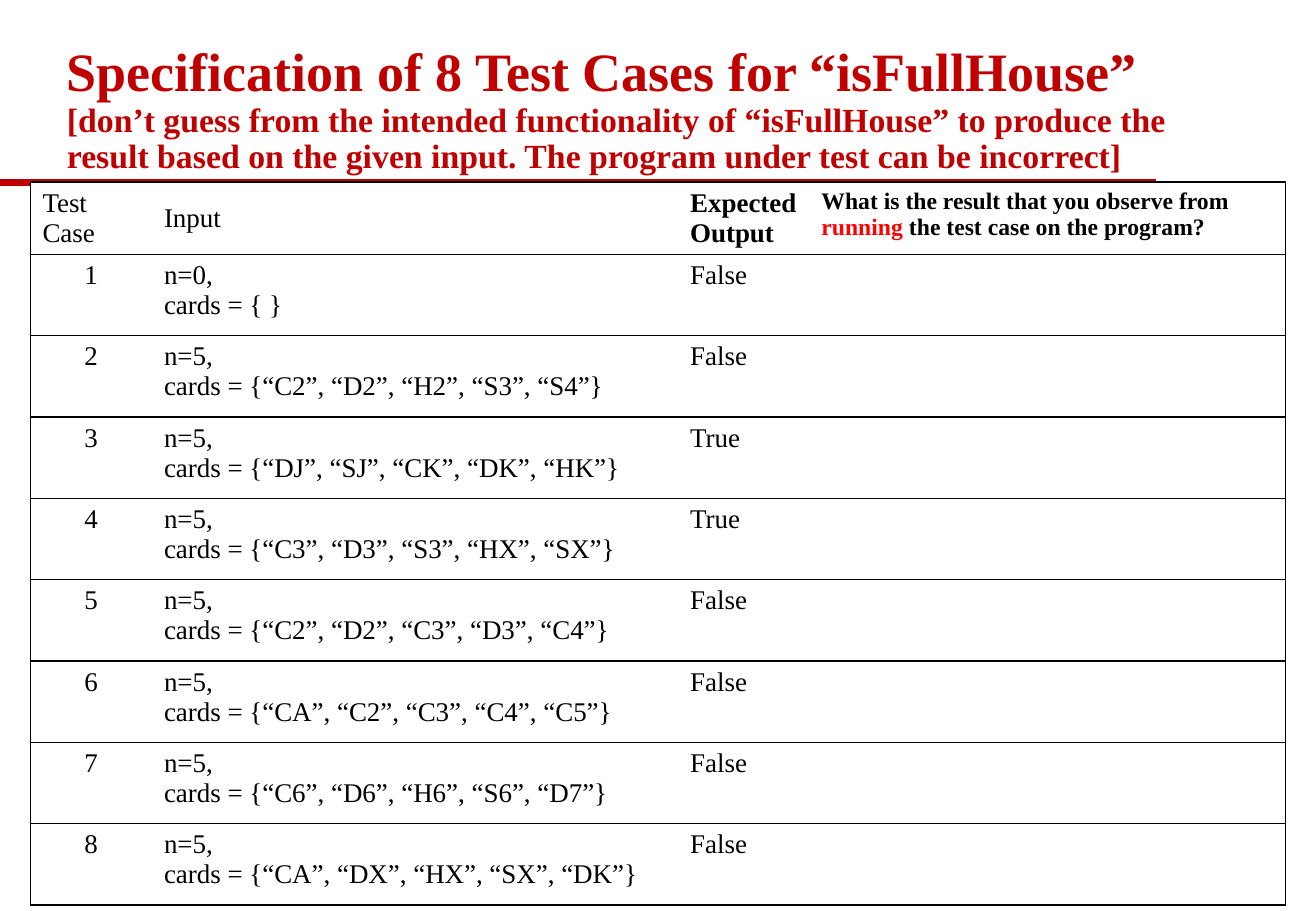
from copy import deepcopy
from dataclasses import dataclass

from lxml.etree import SubElement
from pptx import Presentation
from pptx.dml.color import RGBColor
from pptx.enum.shapes import MSO_CONNECTOR
from pptx.enum.text import MSO_ANCHOR, MSO_AUTO_SIZE, PP_ALIGN
from pptx.oxml.ns import qn
from pptx.util import Inches, Pt


@dataclass(frozen=True)
class Theme:
    """Colours, type sizes and line widths of the slide."""
    font: str = "Times New Roman"
    accent: str = "C00000"
    ink: str = "000000"
    alert: str = "FF0000"
    paper: str = "FFFFFF"
    title: int = 32
    subtitle: int = 20
    body: int = 16
    question: int = 14
    rule: int = 4
    border: int = 1


THEME = Theme()
WIDTH, HEIGHT = 10.83, 7.5
RULE_TOP = 1.5
TABLE_LEFT = 0.25
COLUMNS = (1, 4.33, 1.08, 3.92)
HEADER_HEIGHT, CASE_HEIGHT = 0.59, 0.67

TITLE = "Specification of 8 Test Cases for “isFullHouse”"
SUBTITLE = ("[don’t guess from the intended functionality of “isFullHouse” to produce the "
            "result based on the given input. The program under test can be incorrect]")
HEADERS = ("Test Case", "Input", "Expected Output")
QUESTION = (("What is the result that you observe from ", THEME.ink),
            ("running", THEME.alert),
            (" the test case on the program?", THEME.ink))
CASES = (
    (0, " ", "False"),
    (5, "“C2”, “D2”, “H2”, “S3”, “S4”", "False"),
    (5, "“DJ”, “SJ”, “CK”, “DK”, “HK”", "True"),
    (5, "“C3”, “D3”, “S3”, “HX”, “SX”", "True"),
    (5, "“C2”, “D2”, “C3”, “D3”, “C4”", "False"),
    (5, "“CA”, “C2”, “C3”, “C4”, “C5”", "False"),
    (5, "“C6”, “D6”, “H6”, “S6”, “D7”", "False"),
    (5, "“CA”, “DX”, “HX”, “SX”, “DK”", "False"),
)


def style_span(span, size, color=THEME.ink, bold=False):
    """Give one run its font, size, colour and weight."""
    span.font.name = THEME.font
    span.font.size = Pt(size)
    span.font.bold = bold
    span.font.color.rgb = RGBColor.from_string(color)


def add_rule(page):
    """Draw the red rule under the title."""
    rule = page.shapes.add_connector(MSO_CONNECTOR.STRAIGHT, 0, Inches(RULE_TOP),
                                     Inches(9.51), Inches(RULE_TOP))
    rule.line.color.rgb = RGBColor.from_string(THEME.accent)
    rule.line.width = Pt(THEME.rule)
    SubElement(rule._element.spPr, qn("a:effectLst"))


def fill_title(page):
    """Place the title and its smaller second part."""
    box = page.shapes.title
    box.left, box.top, box.width, box.height = map(Inches, (0.45, 0.29, 9.88, 1.21))
    frame = box.text_frame
    frame.text = f"{TITLE}\v{SUBTITLE}"
    frame.auto_size = MSO_AUTO_SIZE.NONE
    frame.word_wrap = True
    frame.vertical_anchor = MSO_ANCHOR.BOTTOM
    para = frame.paragraphs[0]
    para.alignment = PP_ALIGN.LEFT
    para.line_spacing = 0.9
    para.space_before = Pt(0)
    for span, size in zip(para.runs, (THEME.title, THEME.subtitle)):
        style_span(span, size, THEME.accent, bold=True)
    line_break = para._p.find(qn("a:br"))
    line_break.insert(0, deepcopy(para.runs[0]._r.rPr))


def set_border(cell, side, visible):
    """Draw or hide one side of a cell."""
    line = SubElement(cell._tc.get_or_add_tcPr(), qn(f"a:ln{side}"), w=str(Pt(THEME.border)))
    if visible:
        fill = SubElement(line, qn("a:solidFill"))
        SubElement(fill, qn("a:srgbClr"), val=THEME.ink)
    else:
        SubElement(line, qn("a:noFill"))


def write_cell(cell, text, bold=False, align=PP_ALIGN.LEFT):
    """Write plain text into a cell."""
    cell.text_frame.text = text
    for para in cell.text_frame.paragraphs:
        para.alignment = align
        for span in para.runs:
            style_span(span, THEME.body, bold=bold)


def write_question(cell):
    """Write the question with its highlighted word."""
    para = cell.text_frame.paragraphs[0]
    for text, color in QUESTION:
        span = para.add_run()
        span.text = text
        style_span(span, THEME.question, color, bold=True)


def add_case_table(page):
    """Add the bordered table of test cases."""
    heights = [HEADER_HEIGHT] + [CASE_HEIGHT] * len(CASES)
    table = page.shapes.add_table(len(heights), len(COLUMNS), Inches(TABLE_LEFT),
                                  Inches(RULE_TOP), Inches(sum(COLUMNS)),
                                  Inches(sum(heights))).table
    table.first_row = table.horz_banding = False
    for column, width in zip(table.columns, COLUMNS):
        column.width = Inches(width)
    for row, height in zip(table.rows, heights):
        row.height = Inches(height)
        for index, cell in enumerate(row.cells):
            set_border(cell, "L", index == 0)
            set_border(cell, "R", index == len(COLUMNS) - 1)
            set_border(cell, "T", True)
            set_border(cell, "B", True)
            cell.fill.solid()
            cell.fill.fore_color.rgb = RGBColor.from_string(THEME.paper)
    for index, text in enumerate(HEADERS):
        write_cell(table.cell(0, index), text, bold=index == 2)
    for index in (0, 1):
        table.cell(0, index).vertical_anchor = MSO_ANCHOR.MIDDLE
    write_question(table.cell(0, 3))
    for number, (count, cards, expected) in enumerate(CASES, 1):
        write_cell(table.cell(number, 0), str(number), align=PP_ALIGN.CENTER)
        write_cell(table.cell(number, 1), f"n={count},\ncards = {{{cards}}}")
        write_cell(table.cell(number, 2), expected)


def main():
    """Build the slide and save it."""
    deck = Presentation()
    deck.slide_width, deck.slide_height = Inches(WIDTH), Inches(HEIGHT)
    page = deck.slides.add_slide(deck.slide_layouts[5])
    add_rule(page)
    fill_title(page)
    add_case_table(page)
    deck.save("out.pptx")


if __name__ == "__main__":
    main()
